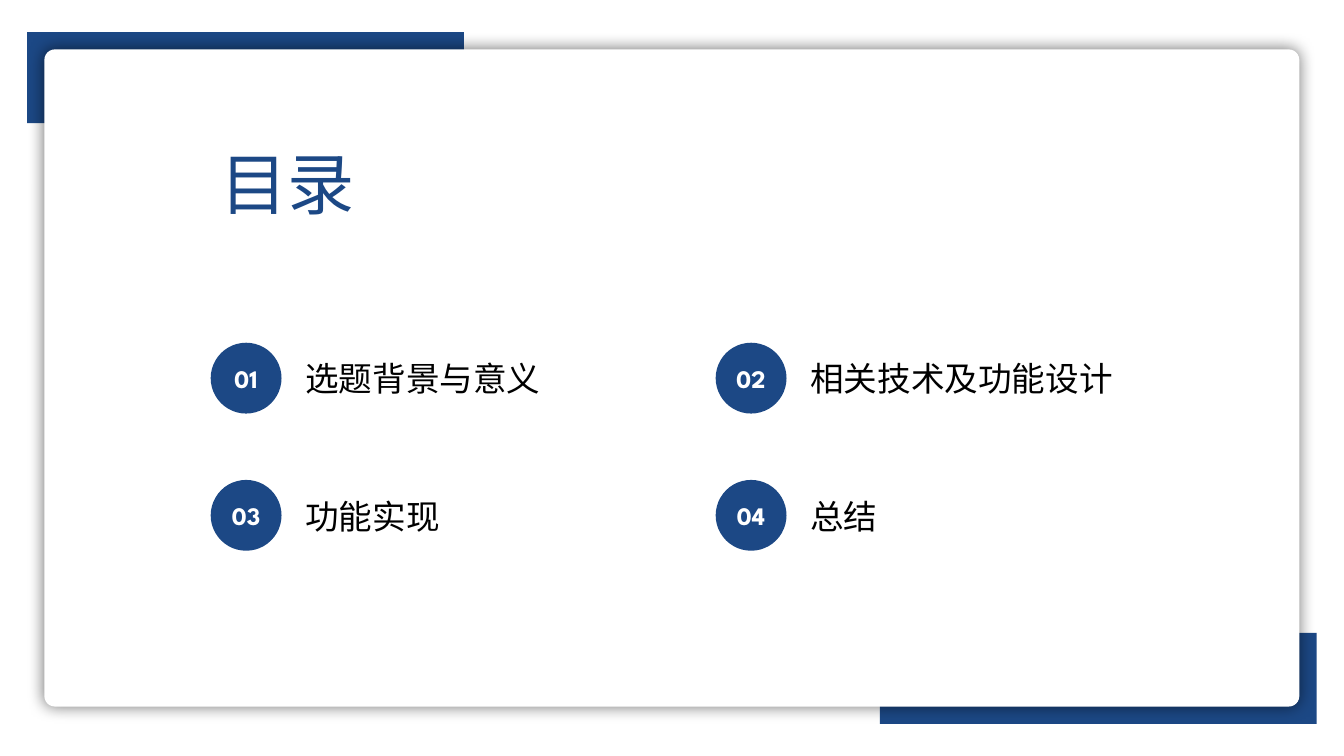
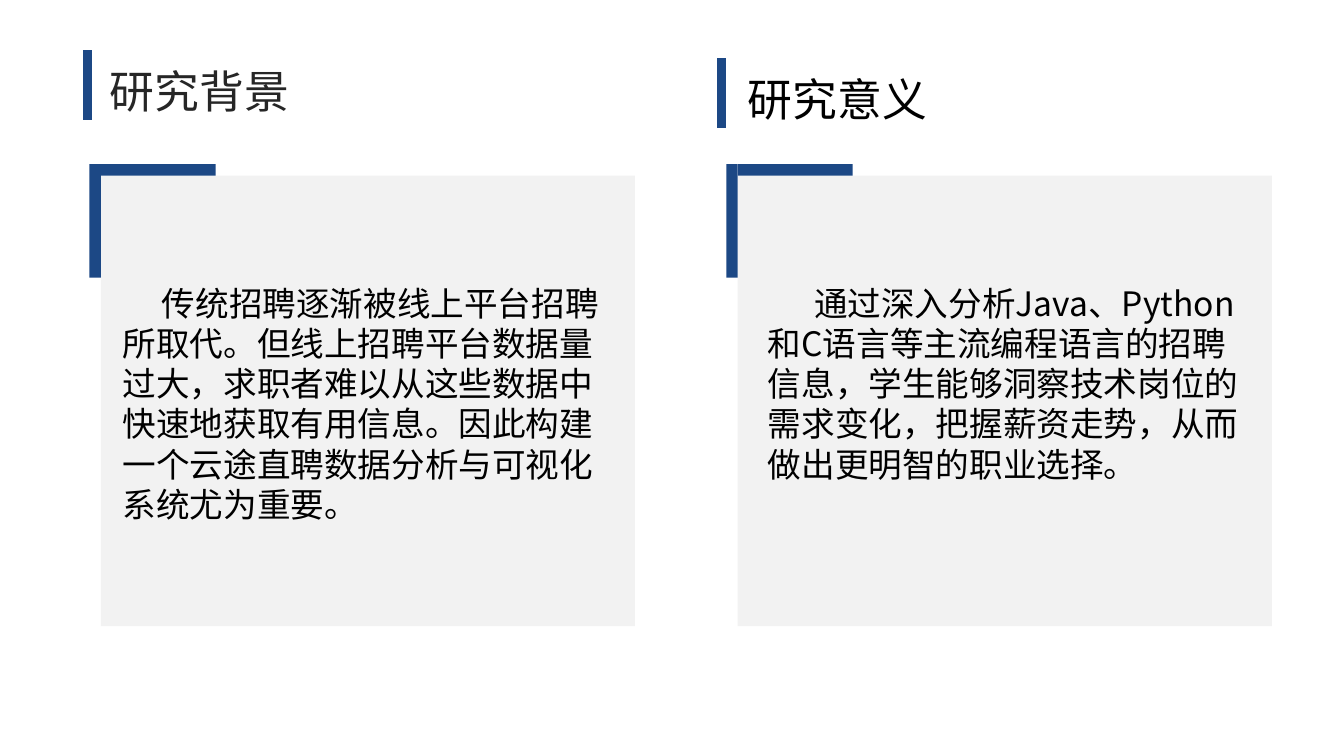
from lxml import etree
from pptx import Presentation
from pptx.dml.color import RGBColor
from pptx.enum import shapes, text
from pptx.oxml import ns
from pptx.util import Pt

COLORS = {"navy": "1C4885", "white": "FFFFFF", "panel": "F2F2F2",
          "black": "000000", "charcoal": "262626"}
CJK = "Noto Sans CJK SC"
SHAPE = shapes.MSO_SHAPE
ALIGN = text.PP_ALIGN


def rgb(name):
    return RGBColor.from_string(COLORS[name])


def box(x, y, w, h):
    return Pt(x), Pt(y), Pt(w), Pt(h)


def add_block(s, kind, x, y, w, h, color):
    """Borderless filled shape."""
    sp = s.shapes.add_shape(kind, *box(x, y, w, h))
    sp.shadow.inherit = False
    sp.fill.solid()
    sp.fill.fore_color.rgb = rgb(color)
    sp.line.fill.background()
    return sp


def style(p, size, color, font, bold=False):
    f = p.font
    f.size, f.name, f.bold = Pt(size), font, bold
    f.color.rgb = rgb(color)
    # East Asian face, used by the Chinese characters
    ea = etree.SubElement(f._element, ns.qn("a:ea"))
    ea.set("typeface", CJK)
    for r in p.runs:
        r.font.language_id = None
        r._r.get_or_add_rPr().append(etree.fromstring(etree.tostring(ea)))
        r.font.name = font


def add_text(s, words, x, y, w, h, size, color="black", font=CJK,
             align=None, indent=0):
    tf = s.shapes.add_textbox(*box(x, y, w, h)).text_frame
    tf.word_wrap = True
    p = tf.paragraphs[0]
    p.text = words
    p.alignment = align
    if indent:
        p._p.get_or_add_pPr().set("indent", str(Pt(indent)))
    style(p, size, color, font)


def add_glow(sp, blur, alpha):
    """Soft black shadow on all sides."""
    effects = sp._element.spPr.find(ns.qn("a:effectLst"))
    shadow = etree.SubElement(effects, ns.qn("a:outerShdw"),
                              blurRad=str(Pt(blur)), dist="0", algn="ctr",
                              rotWithShape="0")
    color = etree.SubElement(shadow, ns.qn("a:srgbClr"), val=COLORS["black"])
    etree.SubElement(color, ns.qn("a:alpha"), val=str(alpha * 1000))


def frame(s, x, y, w, h):
    """White card with a navy block behind two opposite corners."""
    over, bw, bh = 12.3, 312, 65
    add_block(s, SHAPE.RECTANGLE, x + w + over - bw, y + h + over - bh,
              bw, bh, "navy")
    add_block(s, SHAPE.RECTANGLE, x - over, y - over, bw, bh, "navy")
    card = add_block(s, SHAPE.ROUNDED_RECTANGLE, x, y, w, h, "white")
    card.adjustments[0] = 0.016
    add_glow(card, 12, 55)


def agenda_item(s, number, label, x, y):
    """Numbered disc with its label."""
    d = 50.6
    disc = add_block(s, SHAPE.OVAL, x, y, d, d, "navy")
    tf = disc.text_frame
    tf.margin_left = tf.margin_right = 0
    tf.vertical_anchor = text.MSO_ANCHOR.MIDDLE
    p = tf.paragraphs[0]
    p.text = f"{number:02d}"
    p.alignment = ALIGN.CENTER
    style(p, 18, "white", "League Spartan", bold=True)
    add_text(s, label, x + 60.5, y + 7.6, 292, 36, 24, font="Arial",
             align=ALIGN.JUSTIFY)


def agenda_slide(s, title, labels):
    frame(s, 31.7, 35.3, 896.4, 469.4)
    left, top = 150.5, 244.8
    add_text(s, title, left, 98, 183, 68, 48, "navy", "Arial", ALIGN.JUSTIFY)
    # Two columns, filled row by row
    for i, label in enumerate(labels):
        row, col = divmod(i, 2)
        agenda_item(s, i + 1, label, left + col * 360.7, top + row * 98)


def heading(s, words, x, y, gap, color):
    """Vertical bar and heading."""
    bar = s.shapes.add_connector(shapes.MSO_CONNECTOR.STRAIGHT, Pt(x), Pt(y),
                                 Pt(x), Pt(y + 49.7))
    bar.line.width = Pt(6)
    bar.line.color.rgb = rgb("navy")
    etree.SubElement(bar._element.spPr, ns.qn("a:effectLst"))
    add_text(s, words, x + gap, y + 6, 230, 44, 32, color)


def panel(s, words, x, y, w, h, inset, indent):
    """Grey panel with a navy corner bracket and body text."""
    thick, arm = 8.2, 82
    add_block(s, SHAPE.RECTANGLE, x, y, w, h, "panel")
    add_block(s, SHAPE.RECTANGLE, x - thick, y - thick, thick, arm - 1, "navy")
    add_block(s, SHAPE.RECTANGLE, x, y - thick, arm, thick, "navy")
    add_text(s, words, x + inset, y + 72.7, 362, 174, 24, indent=indent)


def research_slide(s):
    heading(s, "研究背景", 62.6, 36, 8.7, "charcoal")
    panel(s, "传统招聘逐渐被线上平台招聘所取代。但线上招聘平台数据量过大，"
             "求职者难以从这些数据中快速地获取有用信息。因此构建一个"
             "云途直聘数据分析与可视化系统尤为重要。",
          72, 125.5, 381.6, 321.8, 8.6, 28)
    heading(s, "研究意义", 515.5, 41.8, 11.5, "black")
    panel(s, "通过深入分析Java、Python和C语言等主流编程语言的招聘信息，"
             "学生能够洞察技术岗位的需求变化，把握薪资走势，"
             "从而做出更明智的职业选择。",
          527, 125.5, 381.6, 321.8, 14.4, 33)


def main():
    prs = Presentation()
    prs.slide_width, prs.slide_height = Pt(960), Pt(540)
    blank = prs.slide_layouts[6]
    agenda_slide(prs.slides.add_slide(blank), "目录",
                 ["选题背景与意义", "相关技术及功能设计", "功能实现", "总结"])
    research_slide(prs.slides.add_slide(blank))
    prs.save("out.pptx")


if __name__ == "__main__":
    main()
